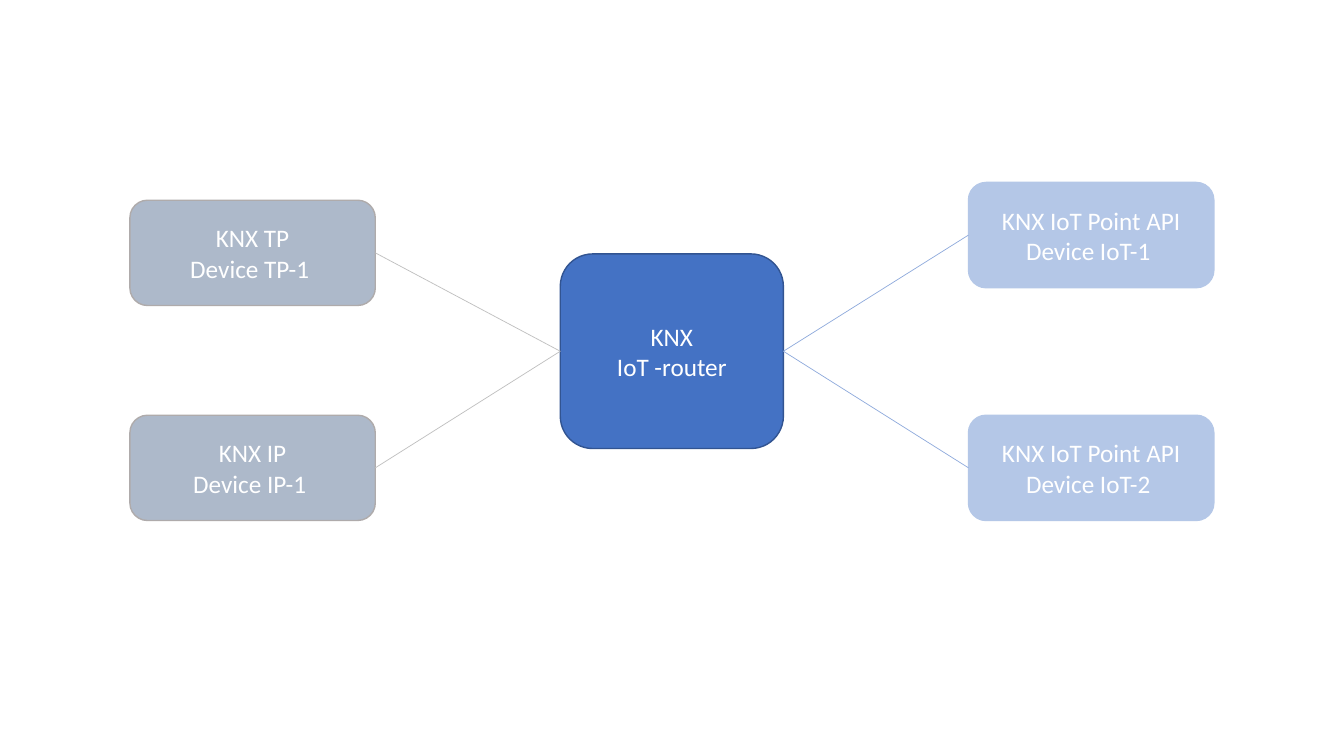
from lxml import etree
from pptx import Presentation
from pptx.dml.color import RGBColor
from pptx.enum.shapes import MSO_CONNECTOR, MSO_SHAPE
from pptx.enum.text import MSO_ANCHOR, PP_ALIGN
from pptx.oxml.ns import qn
from pptx.util import Pt

ROUNDED = MSO_SHAPE.ROUNDED_RECTANGLE
STRAIGHT = MSO_CONNECTOR.STRAIGHT
MIDDLE = MSO_ANCHOR.MIDDLE
CENTER = PP_ALIGN.CENTER

WHITE = RGBColor(0xFF, 0xFF, 0xFF)
ROUTER_BLUE = RGBColor(0x44, 0x72, 0xC4)
ROUTER_EDGE = RGBColor(0x32, 0x54, 0x91)
IOT_BLUE = RGBColor(0xB4, 0xC7, 0xE7)
IOT_LINK = RGBColor(0x8F, 0xAA, 0xDC)
BUS_GREY = RGBColor(0xAD, 0xB9, 0xCA)
BUS_EDGE = RGBColor(0xAF, 0xAB, 0xAB)
BUS_LINK = RGBColor(0xBF, 0xBF, 0xBF)

LEFT_SITE, RIGHT_SITE = 1, 3
DEVICE_SIZE = (175.3, 75.2)
BUS_LEFT, IOT_LEFT = 92.8, 691.8
LOWER_TOP = 296.6

BUS_DEVICES = [
    (143, ["KNX TP", "Device TP-1 "]),
    (LOWER_TOP, ["KNX IP", "Device IP-1 "]),
]
IOT_DEVICES = [
    (130.3, ["KNX IoT Point API", "Device IoT-1 "]),
    (LOWER_TOP, ["KNX IoT Point API", "Device IoT-2 "]),
]


def add_node(slide, position, size, lines, fill, edge):
    node = slide.shapes.add_shape(ROUNDED, *map(Pt, position + size))
    node.shadow.inherit = False
    node.fill.solid()
    node.fill.fore_color.rgb = fill
    node.line.color.rgb = edge
    node.line.width = Pt(1)
    label = node.text_frame
    label.word_wrap = True
    label.vertical_anchor = MIDDLE
    label.text = "\n".join(lines)
    for paragraph in label.paragraphs:
        paragraph.alignment = CENTER
        for run in paragraph.runs:
            run.font.name = "Calibri"
            run.font.size = Pt(18)
            run.font.color.rgb = WHITE
    return node


def add_link(slide, source, target, color):
    link = slide.shapes.add_connector(STRAIGHT, 0, 0, 0, 0)
    link.begin_connect(source, RIGHT_SITE)
    link.end_connect(target, LEFT_SITE)
    link.line.color.rgb = color
    link.line.width = Pt(0.5)
    etree.SubElement(link._element.spPr, qn("a:effectLst"))


def main():
    deck = Presentation()
    deck.slide_width, deck.slide_height = Pt(960), Pt(540)
    slide = deck.slides.add_slide(deck.slide_layouts[6])

    router = add_node(slide, (400.2, 181.4), (159.4, 139), ["KNX", "IoT -router"],
                      ROUTER_BLUE, ROUTER_EDGE)
    for top, lines in IOT_DEVICES:
        device = add_node(slide, (IOT_LEFT, top), DEVICE_SIZE, lines, IOT_BLUE, IOT_BLUE)
        add_link(slide, router, device, IOT_LINK)
    for top, lines in BUS_DEVICES:
        device = add_node(slide, (BUS_LEFT, top), DEVICE_SIZE, lines, BUS_GREY, BUS_EDGE)
        add_link(slide, device, router, BUS_LINK)

    deck.save("out.pptx")


main()
